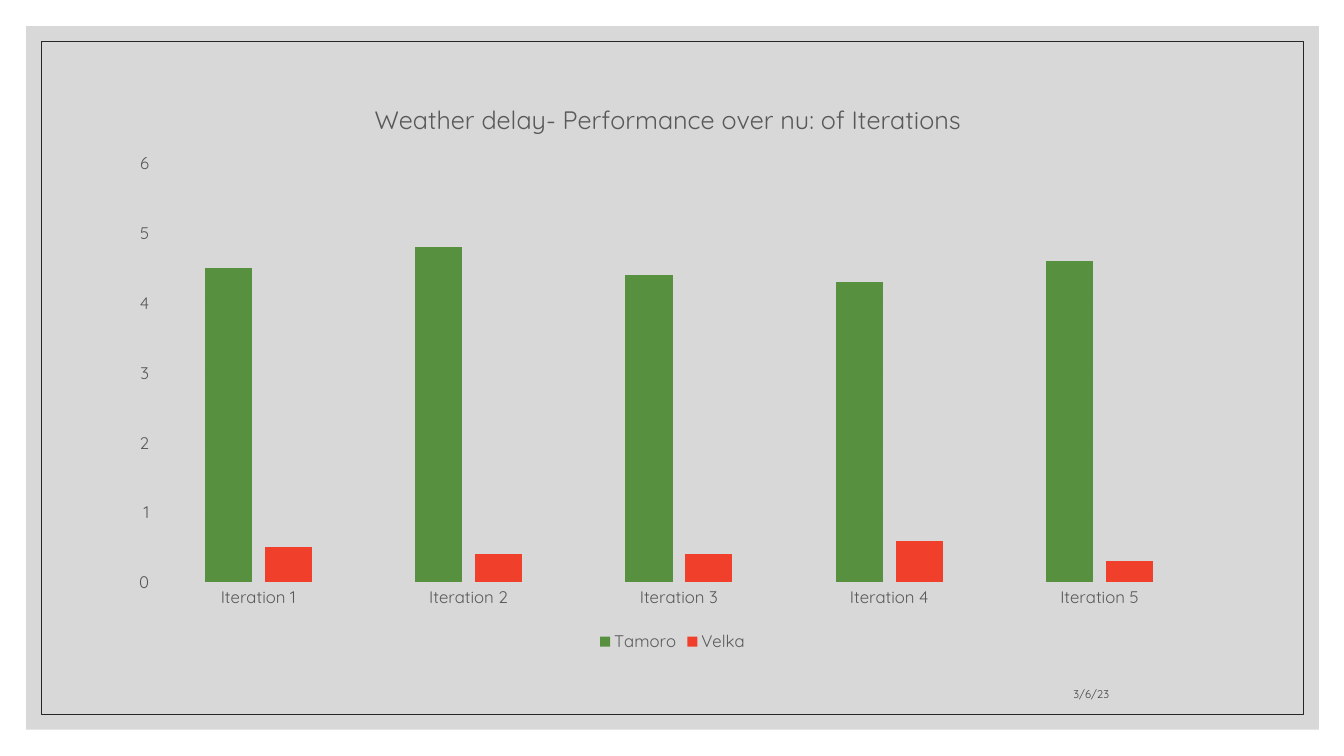
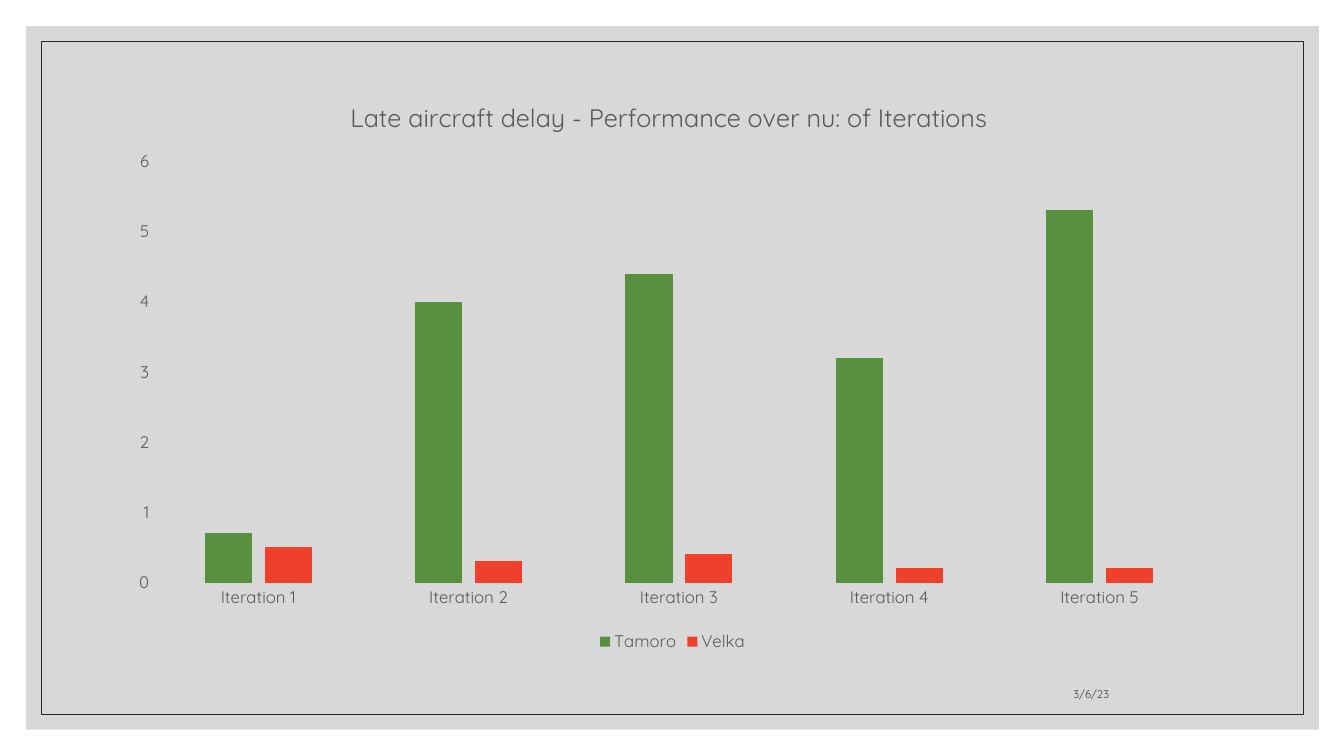
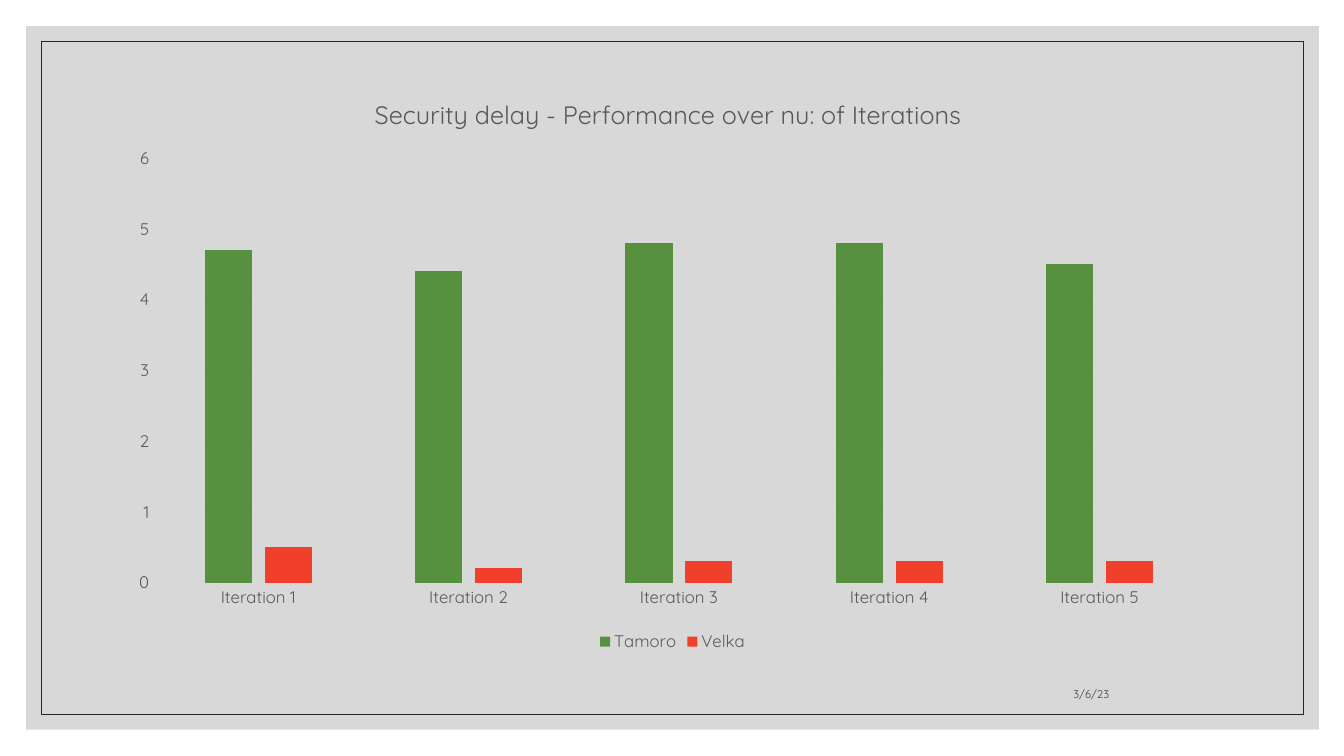
"""Build three slides of column charts comparing two data engines over iterations."""
from lxml.etree import SubElement
from pptx import Presentation
from pptx.chart.data import CategoryChartData
from pptx.dml.color import RGBColor
from pptx.enum.chart import XL_CHART_TYPE, XL_LEGEND_POSITION, XL_TICK_MARK
from pptx.enum.shapes import MSO_SHAPE
from pptx.enum.text import MSO_ANCHOR, PP_ALIGN
from pptx.oxml import parse_xml
from pptx.oxml.ns import nsdecls, qn
from pptx.util import Emu, Pt

CHARTS = [
    {
        "title": "Weather delay- Performance over nu: of Iterations",
        "title_left": 367, "top": 81, "plot_top": 162,
        "Tamoro": (4.5, 4.8, 4.4, 4.3, 4.6),
        "Velka": (0.5, 0.4, 0.4, 0.6, 0.3),
    },
    {
        "title": "Late aircraft delay - Performance over nu: of Iterations",
        "title_left": 343, "top": 79, "plot_top": 160,
        "Tamoro": (0.7, 4, 4.4, 3.2, 5.3),
        "Velka": (0.5, 0.3, 0.4, 0.2, 0.2),
    },
    {
        "title": "Security delay - Performance over nu: of Iterations",
        "title_left": 367, "top": 76, "plot_top": 157,
        "Tamoro": (4.7, 4.4, 4.8, 4.8, 4.5),
        "Velka": (0.5, 0.2, 0.3, 0.3, 0.3),
    },
]
CATEGORIES = [f"Iteration {number}" for number in range(1, 6)]
DATE = "3/6/23"
FONT = "Quicksand"
COLORS = {
    "panel": "BFBFBF", "frame": "262626", "label": "595959",
    "axis": "D9D9D9", "date": "404040", "Tamoro": "57903F", "Velka": "F03F2B",
}
SERIES = ("Tamoro", "Velka")
PX = 9144
SLIDE_SIZE = (1333, 750)
PANEL = (26, 26, 1282, 698)
FRAME = (41, 41, 1252, 668)
DATE_BOX = (794, 660, 316, 40)
CHART_LEFT, CHART_WIDTH, CHART_BOTTOM = 117, 1100, 651
PLOT_LEFT, PLOT_WIDTH, PLOT_BOTTOM = 152, 1043, 578
TITLE_DROP = 15


def px(*lengths):
    return [Emu(length * PX) for length in lengths]


def color(name):
    return RGBColor.from_string(COLORS[name])


def style_font(font, size, color_name):
    font.name = FONT
    font.size = Pt(size)
    font.bold = False
    font.color.rgb = color(color_name)


def style_line(line, color_name, width):
    line.color.rgb = color(color_name)
    line.width = Pt(width)


def add_backdrop(slide):
    layout = slide.slide_layout
    for placeholder in list(layout.placeholders):
        layout.shapes.element.remove(placeholder.element)
    panel, frame = [
        slide.shapes.add_shape(MSO_SHAPE.RECTANGLE, *px(*box)) for box in (PANEL, FRAME)
    ]
    panel.fill.solid()
    panel.fill.fore_color.rgb = color("panel")
    fill_color = panel.element.spPr.find(qn("a:solidFill"))[0]
    SubElement(fill_color, qn("a:alpha"), val="60000")
    panel.line.fill.background()
    frame.fill.background()
    style_line(frame.line, "frame", 0.5)
    for shape in (panel, frame):
        shape.shadow.inherit = False
        layout.shapes.element.append(shape.element)


def set_layout(parent, index, fractions, target=""):
    for old_layout in parent.findall(qn("c:layout")):
        parent.remove(old_layout)
    modes = "".join(f'<c:{axis}Mode val="edge"/>' for axis in "xy")
    values = "".join(f'<c:{key} val="{value:.4f}"/>' for key, value in fractions.items())
    parent.insert(index, parse_xml(
        f'<c:layout {nsdecls("c")}><c:manualLayout>{target}{modes}{values}'
        "</c:manualLayout></c:layout>"
    ))


def style_axes(chart):
    for axis in (chart.category_axis, chart.value_axis):
        axis.major_tick_mark = axis.minor_tick_mark = XL_TICK_MARK.NONE
        style_font(axis.tick_labels.font, 12, "label")
    style_line(chart.category_axis.format.line, "axis", 0.75)
    value_axis = chart.value_axis
    value_axis.minimum_scale, value_axis.maximum_scale, value_axis.major_unit = 0, 6, 1
    value_axis.format.line.fill.background()
    style_line(value_axis.major_gridlines.format.line, "axis", 0.75)


def add_delay_chart(slide, content):
    data = CategoryChartData()
    data.categories = CATEGORIES
    for name in SERIES:
        data.add_series(name, content[name])
    top = content["top"]
    height = CHART_BOTTOM - top
    chart = slide.shapes.add_chart(
        XL_CHART_TYPE.COLUMN_CLUSTERED, *px(CHART_LEFT, top, CHART_WIDTH, height), data
    ).chart
    style_font(chart.font, 10, "label")
    style_axes(chart)

    plot = chart.plots[0]
    plot.gap_width, plot.overlap = 219, -27
    plot.vary_by_categories = False
    for series in plot.series:
        series.format.fill.solid()
        series.format.fill.fore_color.rgb = color(series.name)

    chart.has_legend = True
    chart.legend.position = XL_LEGEND_POSITION.BOTTOM
    chart.legend.include_in_layout = False
    style_font(chart.legend.font, 12, "label")

    text_frame = chart.chart_title.text_frame
    text_frame.text = content["title"]
    style_font(text_frame.paragraphs[0].runs[0].font, 18, "label")
    set_layout(chart.element.find(".//" + qn("c:title")), 1, {
        "x": (content["title_left"] - CHART_LEFT) / CHART_WIDTH,
        "y": TITLE_DROP / height,
    })
    set_layout(chart.element.find(".//" + qn("c:plotArea")), 0, {
        "x": (PLOT_LEFT - CHART_LEFT) / CHART_WIDTH,
        "y": (content["plot_top"] - top) / height,
        "w": PLOT_WIDTH / CHART_WIDTH,
        "h": (PLOT_BOTTOM - content["plot_top"]) / height,
    }, '<c:layoutTarget val="inner"/>')


def add_date(slide):
    text_frame = slide.shapes.add_textbox(*px(*DATE_BOX)).text_frame
    text_frame.word_wrap = True
    text_frame.vertical_anchor = MSO_ANCHOR.BOTTOM
    text_frame.text = DATE
    paragraph = text_frame.paragraphs[0]
    paragraph.alignment = PP_ALIGN.RIGHT
    style_font(paragraph.runs[0].font, 8, "date")


def main():
    presentation = Presentation()
    presentation.slide_width, presentation.slide_height = px(*SLIDE_SIZE)
    blank_layout = presentation.slide_layouts[6]
    for index, content in enumerate(CHARTS):
        slide = presentation.slides.add_slide(blank_layout)
        if index == 0:
            add_backdrop(slide)
        add_delay_chart(slide, content)
        add_date(slide)
    presentation.save("out.pptx")


if __name__ == "__main__":
    main()
